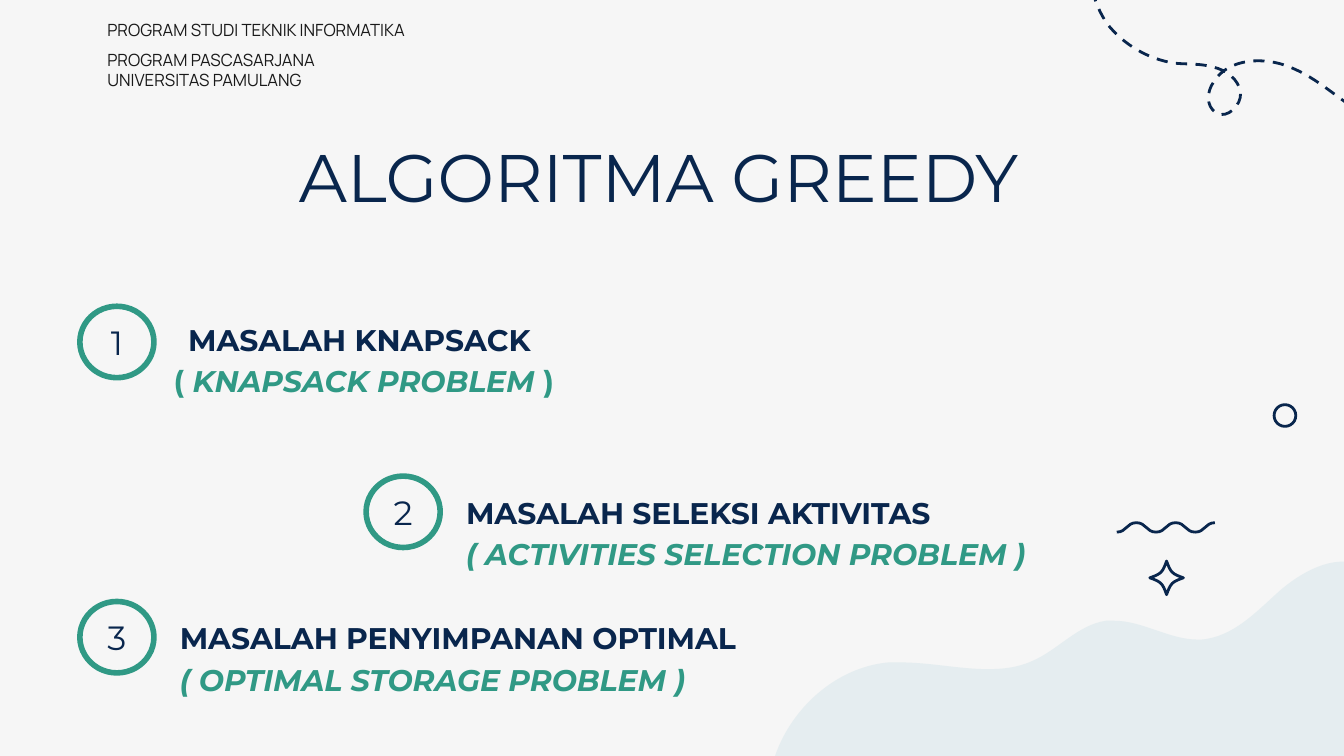
from lxml import etree
from pptx import Presentation
from pptx.dml.color import RGBColor
from pptx.enum.dml import MSO_LINE
from pptx.enum.shapes import MSO_SHAPE
from pptx.enum.text import MSO_ANCHOR, MSO_AUTO_SIZE, PP_ALIGN
from pptx.oxml.ns import qn
from pptx.util import Cm, Pt

NAVY, GREEN = "09264D", "309985"
rgb = RGBColor.from_string


def add_curve(start, segments, closed=False):
    """Draw lines (x, y) and cubics (x1, y1, x2, y2, x, y), in units of 2.54 cm."""
    emu = [[Cm(2.54 * v) for v in seg] for seg in segments]
    points = [pair for seg in emu for pair in zip(seg[::2], seg[1::2])]
    fb = s.shapes.build_freeform(*[Cm(2.54 * v) for v in start])
    fb.add_line_segments(points, close=closed)
    sp = fb.convert_to_shape()
    # Join the three points of each cubic into one Bezier segment
    lines = iter(list(sp._element.iter(qn("a:lnTo"))))
    for seg in segments:
        first = next(lines)
        if len(seg) == 6:
            cubic = etree.Element(qn("a:cubicBezTo"))
            first.addprevious(cubic)
            for line in (first, next(lines), next(lines)):
                cubic.append(line[0])
                line.getparent().remove(line)
    sp.shadow.inherit = False
    sp.fill.background()
    sp.line.color.rgb = rgb(NAVY)
    sp.line.width = Pt(1.5)
    return sp


def write(sp, box, lines, size, font="Montserrat", align=PP_ALIGN.LEFT,
          anchor=MSO_ANCHOR.TOP, spacing=1.0, inset=0.25):
    """Place a shape and fill it; a line is a list of (text, colour, bold, italic)."""
    sp.left, sp.top, sp.width, sp.height = [Cm(v) for v in box]
    tf = sp.text_frame
    tf.word_wrap = True
    tf.auto_size = MSO_AUTO_SIZE.NONE
    tf.vertical_anchor = anchor
    tf.margin_left = tf.margin_right = tf.margin_top = tf.margin_bottom = Cm(inset)
    for i, line in enumerate(lines):
        p = tf.paragraphs[0] if i == 0 else tf.add_paragraph()
        p.alignment = align
        p.line_spacing = spacing
        p.space_before = p.space_after = Pt(0)
        for text, color, bold, italic in line:
            r = p.add_run()
            r.text = text
            r.font.name, r.font.size = font, Pt(size)
            r.font.bold, r.font.italic = bold, italic
            r.font.color.rgb = rgb(color)
    return tf


prs = Presentation()
prs.slide_width, prs.slide_height = Cm(25.4), Cm(14.29)
s = prs.slides.add_slide(prs.slide_layouts[0])
s.background.fill.solid()
s.background.fill.fore_color.rgb = rgb("F6F6F6")

# Pale hill in the corner
hill = add_curve((9.99, 4.18), [
    (10.05, 4.18, 10.11, 4.19, 10.17, 4.22),
    (10.08, 5.89),
    (5.73, 6.08),
    (5.63, 5.55, 6.07, 4.98, 6.61, 4.93),
    (6.64, 4.93, 6.67, 4.93, 6.7, 4.93),
    (6.92, 4.93, 7.14, 4.98, 7.35, 4.98),
    (7.46, 4.98, 7.57, 4.97, 7.68, 4.92),
    (7.87, 4.84, 8.02, 4.65, 8.23, 4.62),
    (8.25, 4.62, 8.27, 4.62, 8.29, 4.62),
    (8.5, 4.62, 8.7, 4.76, 8.91, 4.76),
    (8.92, 4.76, 8.93, 4.76, 8.94, 4.76),
    (9.18, 4.74, 9.35, 4.55, 9.53, 4.39),
    (9.66, 4.28, 9.83, 4.18, 9.99, 4.18)], closed=True)
hill.line.fill.background()
hill.fill.solid()
hill.fill.fore_color.rgb = rgb("D6E6EB")
clr = hill.fill._xPr.find(qn("a:solidFill"))[0]
etree.SubElement(clr, qn("a:alpha")).set("val", "53000")

# Dashed loop at the top right
loop = add_curve((10.73, 0.91), [
    (10.55, 1.01, 10.31, 0.95, 10.13, 0.84),
    (9.95, 0.73, 9.8, 0.58, 9.6, 0.5),
    (9.41, 0.42, 9.14, 0.43, 9.03, 0.61),
    (8.98, 0.68, 8.97, 0.79, 9.05, 0.84),
    (9.13, 0.89, 9.24, 0.78, 9.23, 0.69),
    (9.22, 0.59, 9.12, 0.52, 9.03, 0.5),
    (8.93, 0.47, 8.83, 0.48, 8.74, 0.47),
    (8.54, 0.44, 8.36, 0.33, 8.24, 0.18),
    (8.13, 0.02, 8.08, -0.19, 8.12, -0.38)])
loop.line.dash_style = MSO_LINE.DASH

# Wave of five half periods
low, high, step = 3.96, 3.89, 0.73 / 5
wave = []
for i in range(5):
    x = 8.31 + i * step
    y, y_next = (low, high) if i % 2 == 0 else (high, low)
    wave.append((x + step / 2, y, x + step / 2, y_next, x + step, y_next))
add_curve((8.31, low), wave)

# Four-pointed star, each side bent towards the centre
cx, cy, radius, near, far = 8.68, 4.3, 0.25 / 2, 0.03, 0.04
tips = [(-1, 0), (0, 1), (1, 0), (0, -1), (-1, 0)]
sides = []
for (ax, ay), (bx, by) in zip(tips, tips[1:]):
    sides.append((cx + far * ax + near * bx, cy + far * ay + near * by,
                  cx + near * ax + far * bx, cy + near * ay + far * by,
                  cx + radius * bx, cy + radius * by))
add_curve((cx - radius, cy), sides, closed=True)

# Small ring
ring = s.shapes.add_shape(MSO_SHAPE.OVAL, Cm(24.08), Cm(7.65), Cm(0.41), Cm(0.41))
ring.shadow.inherit = False
ring.fill.background()
ring.line.color.rgb = rgb(NAVY)
ring.line.width = Pt(1.5)

# Title
write(s.shapes.title, (0.81, 2.83, 23.27, 0.99),
      [[("ALGORITMA GREEDY", NAVY, False, False)]], 36,
      align=PP_ALIGN.CENTER, anchor=MSO_ANCHOR.MIDDLE)

# Study programme
programme = ["PROGRAM STUDI TEKNIK INFORMATIKA", "PROGRAM PASCASARJANA",
             "UNIVERSITAS PAMULANG"]
tf = write(s.shapes.add_textbox(0, 0, 0, 0), (1.78, 0.45, 7.01, 1.17),
           [[(text, "191919", False, False)] for text in programme], 9,
           font="Manrope", anchor=MSO_ANCHOR.MIDDLE)
tf.paragraphs[1].line_spacing = 1.5

# Problems: name, English name in runs, text box, alignment, circle corner
problems = [
    ("MASALAH KNAPSACK ",
     [("( ", False), ("KNAPSACK PROBLEM", True), (" )", False)],
     (0.6, 5.72, 12.55, 1.93), PP_ALIGN.CENTER, (1.51, 5.79)),
    ("MASALAH SELEKSI AKTIVITAS", [("( ACTIVITIES SELECTION PROBLEM )", True)],
     (8.56, 9, 12.93, 1.93), PP_ALIGN.LEFT, (6.92, 9)),
    ("MASALAH PENYIMPANAN OPTIMAL", [("( OPTIMAL STORAGE PROBLEM )", True)],
     (3.15, 11.37, 12.93, 1.93), PP_ALIGN.LEFT, (1.51, 11.37)),
]
for number, (name, english, box, align, corner) in enumerate(problems, 1):
    sp = s.placeholders[1] if number == 1 else s.shapes.add_textbox(0, 0, 0, 0)
    write(sp, box, [[(name, NAVY, True, False)],
                    [(text, GREEN, True, italic) for text, italic in english]],
          16, align=align, spacing=1.15)

    circle = s.shapes.add_shape(MSO_SHAPE.OVAL, 0, 0, 0, 0)
    circle.shadow.inherit = False
    circle.fill.background()
    circle.line.color.rgb = rgb(GREEN)
    circle.line.width = Pt(3)
    write(circle, (*corner, 1.4, 1.35), [[(str(number), NAVY, False, False)]], 18,
          align=PP_ALIGN.CENTER, anchor=MSO_ANCHOR.MIDDLE, inset=0)

prs.save("out.pptx")
